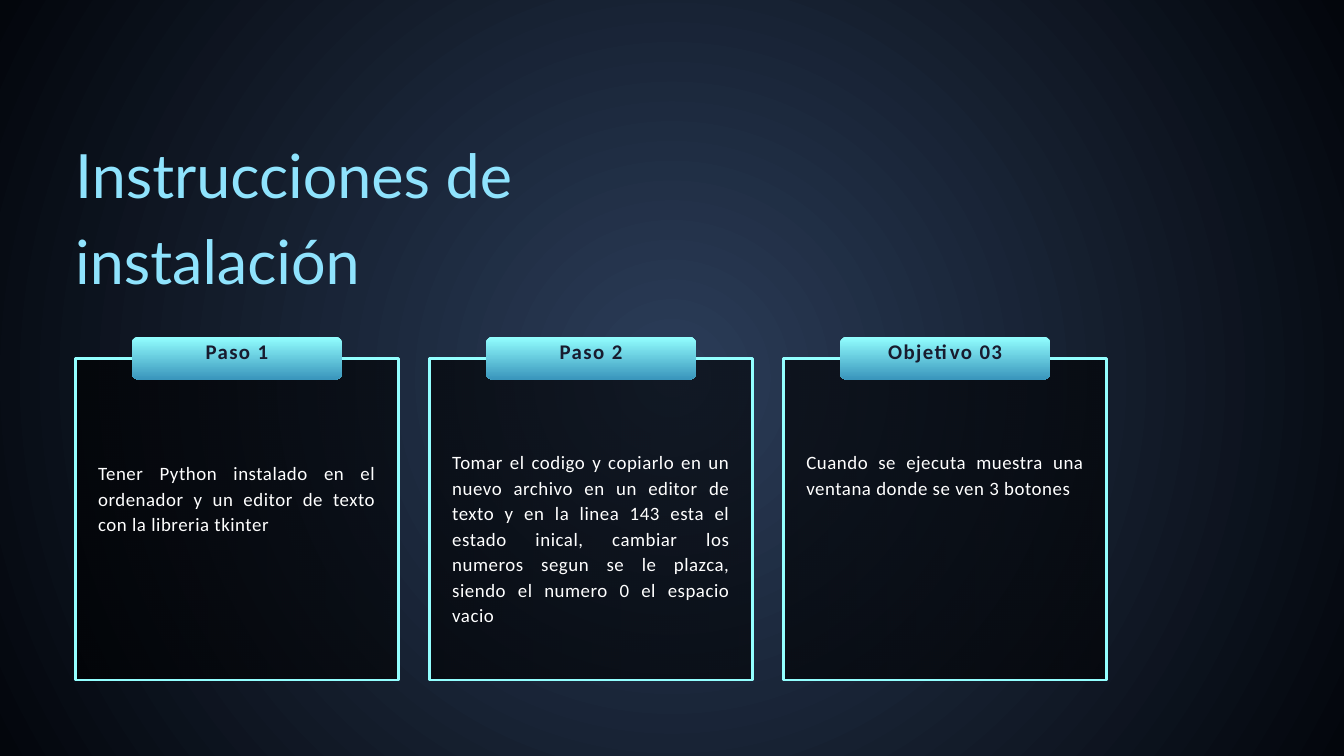
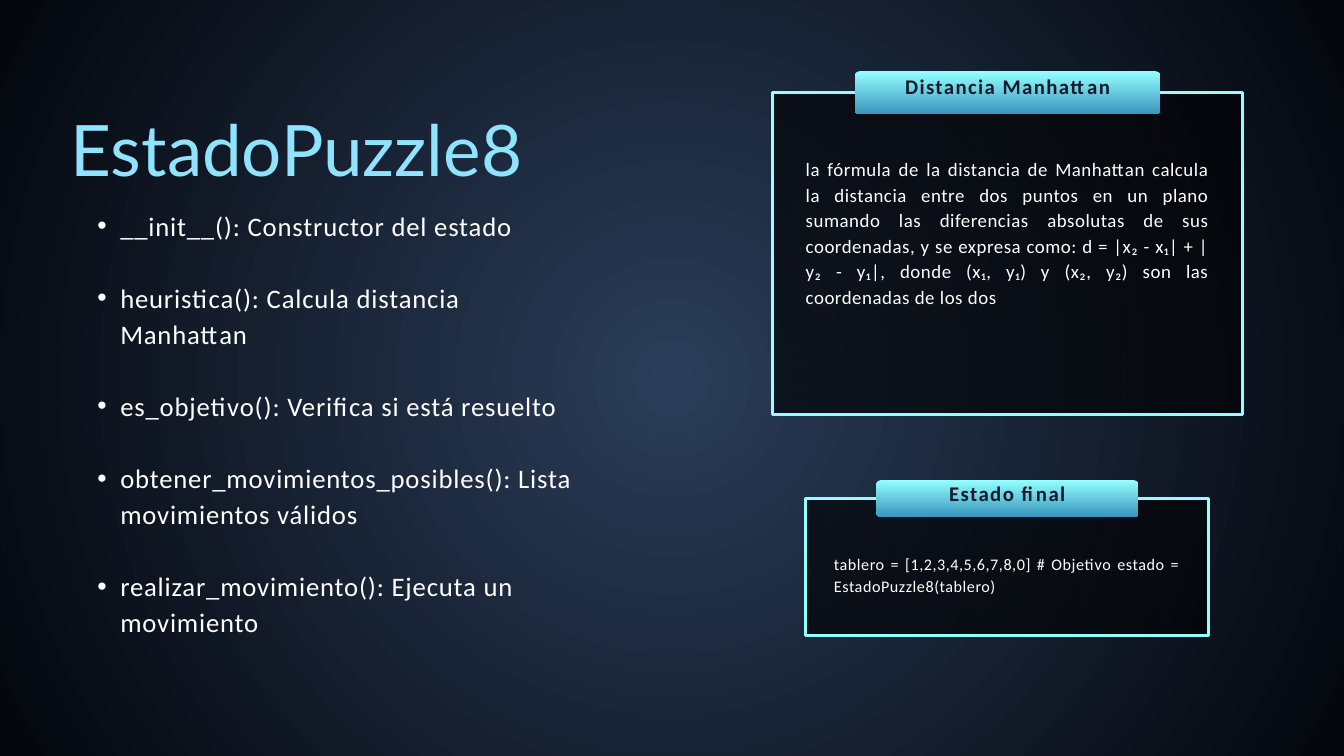
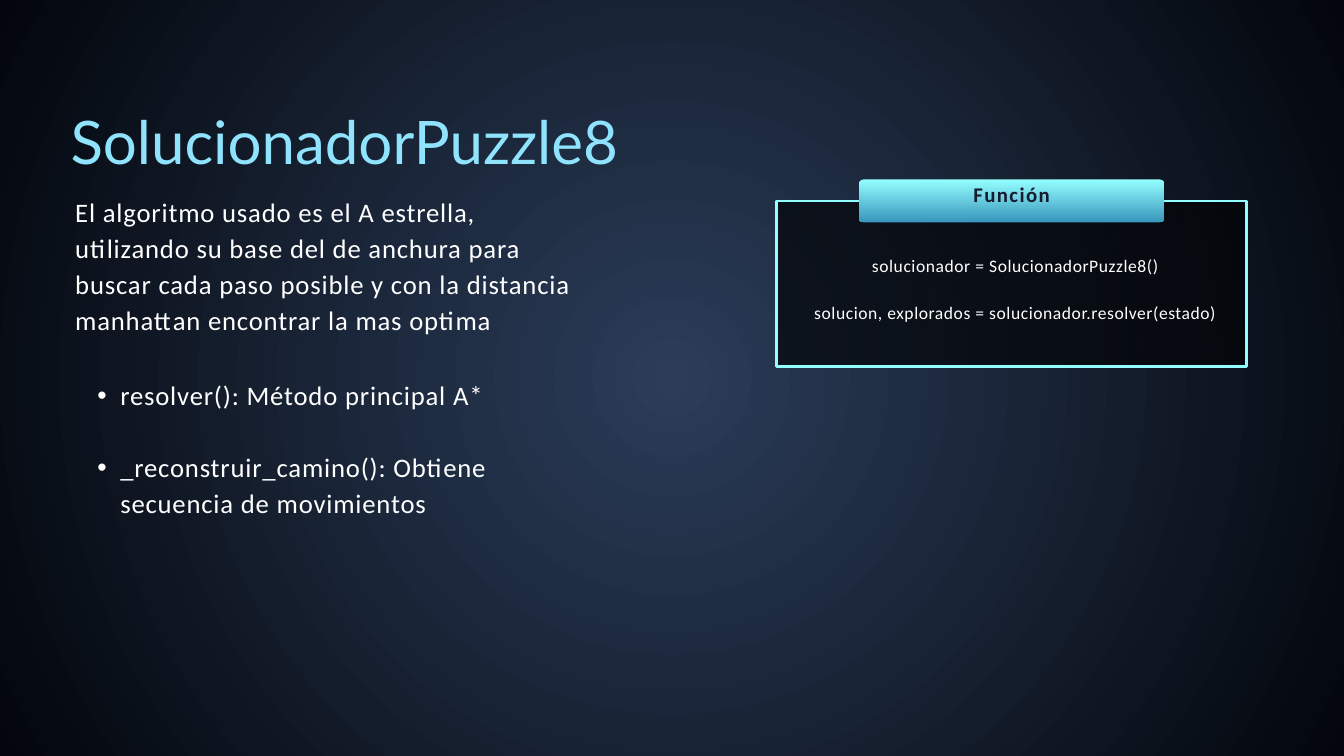
"""Builds three slides that explain how to install and use an 8-puzzle solver."""
from dataclasses import dataclass

from pptx import Presentation
from pptx import util as u
from pptx.dml.color import RGBColor
from pptx.enum import shapes, text
from pptx.oxml import ns
from lxml import etree


@dataclass(frozen=True)
class Theme:
    width: float = 20
    height: float = 11.25
    backdrop: tuple = (("2B3D59", 100), ("03060C", 100))
    panel: tuple = (("000102", 63), ("000000", 59))
    tab: tuple = (("93FFFF", 100), ("3995BC", 100))
    border: str = "93FFFF"
    title: str = "8FE3FD"
    label: str = "181B2E"
    body: str = "FFFFFF"
    title_font: str = "Lato"
    body_font: str = "Calibri"
    label_size: float = 22.3
    list_size: float = 28.6
    card_size: float = 20.2
    tab_share: float = 0.65
    tab_height: float = 0.64
    label_stretch: float = 1.4
    title_leading: float = 1.4
    body_leading: float = 1.35


THEME = Theme()
MARGIN = 1.12
TITLE_LEFT = 1.05
LIST_WIDTH = 7.5
STEP_TOP, STEP_WIDTH, STEP_HEIGHT, STEP_PITCH = 5.33, 4.81, 4.79, 5.27
STEP_INSET = 0.34

STEPS = [
    ("Paso 1", "Tener Python instalado en el ordenador y un editor de texto "
     "con la libreria tkinter", 1.5, 3),
    ("Paso 2", "Tomar el codigo y copiarlo en un nuevo archivo en un editor de texto "
     "y en la linea 143 esta el estado inical, cambiar los numeros segun se le plazca, "
     "siendo el numero 0 el espacio vacio", 1.34, 7),
    ("Objetivo 03", "Cuando se ejecuta muestra una ventana donde se ven 3 botones", 1.34, 3),
]

SLIDES = [
    {
        "title": ("Instrucciones de instalación", MARGIN, 1.87, 10.53, 65.4, 2),
        "texts": [],
        "cards": [
            dict(at=(MARGIN + column * STEP_PITCH, STEP_TOP, STEP_WIDTH, STEP_HEIGHT),
                 label=label, lines=[words], rows=rows, corner=0.1,
                 body=(STEP_INSET, drop, STEP_WIDTH - 2 * STEP_INSET))
            for column, (label, words, drop, rows) in enumerate(STEPS)
        ],
    },
    {
        "title": ("EstadoPuzzle8", TITLE_LEFT, 1.36, 8.95, 76, 1),
        "texts": [(3.06, 14, True, [
            "__init__(): Constructor del estado",
            "heuristica(): Calcula distancia Manhattan",
            "es_objetivo(): Verifica si está resuelto",
            "obtener_movimientos_posibles(): Lista movimientos válidos",
            "realizar_movimiento(): Ejecuta un movimiento",
        ])],
        "cards": [
            dict(at=(11.5, 1.38, 6.99, 4.79), label="Distancia Manhattan",
                 lines=["la fórmula de la distancia de Manhattan calcula la distancia entre "
                        "dos puntos en un plano sumando las diferencias absolutas de sus "
                        "coordenadas, y se expresa como: d = |x₂ - x₁| + |y₂ - y₁|, donde "
                        "(x₁, y₁) y (x₂, y₂) son las coordenadas de los dos"],
                 rows=6, body=(0.49, 0.93, 6)),
            dict(at=(11.99, 7.42, 6, 2.04), label="Estado final",
                 lines=["tablero = [1,2,3,4,5,6,7,8,0] # Objetivo estado = "
                        "EstadoPuzzle8(tablero)"],
                 rows=2, body=(0.42, 0.8, 5.15), size=17.3, tab_height=0.55),
        ],
    },
    {
        "title": ("SolucionadorPuzzle8", TITLE_LEFT, 1.38, 10.94, 64.3, 1),
        "texts": [
            (2.86, 4, False, [
                "El algoritmo usado es el A estrella, utilizando su base del de anchura "
                "para buscar cada paso posible y con la distancia manhattan encontrar "
                "la mas optima"]),
            (5.58, 4, True, [
                "resolver(): Método principal A*",
                "_reconstruir_camino(): Obtiene secuencia de movimientos"]),
        ],
        "cards": [
            dict(at=(11.56, 2.99, 6.99, 2.46), label="Función",
                 lines=["solucionador = SolucionadorPuzzle8()",
                        "solucion, explorados = solucionador.resolver(estado)"],
                 rows=3, body=(0.11, 0.76, 6.88), size=18.8, align="CENTER"),
        ],
    },
]


def inches(*lengths):
    return [u.Inches(length) for length in lengths]


def paint_gradient(fill, owner, stops, angle=0):
    fill.gradient()
    fill.gradient_angle = angle
    for stop, (color, _) in zip(fill.gradient_stops, stops):
        stop.color.rgb = RGBColor.from_string(color)
    gradient = owner.find(".//" + ns.qn("a:gradFill"))
    for tint, (_, opacity) in zip(gradient.iter(ns.qn("a:srgbClr")), stops):
        if opacity < 100:
            etree.SubElement(tint, ns.qn("a:alpha"), val=str(opacity * 1000))
    return gradient


def paint_backdrop(slide):
    gradient = paint_gradient(slide.background.fill, slide.element, THEME.backdrop)
    gradient.remove(gradient.find(ns.qn("a:lin")))
    circle = etree.SubElement(gradient, ns.qn("a:path"))
    circle.set("path", "circle")
    etree.SubElement(circle, ns.qn("a:fillToRect"),
                     {side: "50000" for side in "ltrb"})


def add_bullet(paragraph):
    properties = paragraph._p.get_or_add_pPr()
    properties.set("marL", str(u.Inches(0.67)))
    properties.set("indent", str(u.Inches(-0.34)))
    etree.SubElement(properties, ns.qn("a:buFont"), typeface="Arial")
    etree.SubElement(properties, ns.qn("a:buChar"), char="•")


def add_text(slide, lines, at, *, size, color=THEME.body, font=THEME.body_font,
             leading=THEME.body_leading, spacing=0, align="LEFT", anchor="TOP",
             bold=False, bullets=False):
    frame = slide.shapes.add_textbox(*inches(*at)).text_frame
    frame.word_wrap = True
    frame.vertical_anchor = text.MSO_ANCHOR[anchor]
    frame.margin_left = frame.margin_right = frame.margin_top = frame.margin_bottom = 0
    line_height = u.Pt(round(size * leading, 1))
    for index, line in enumerate(lines):
        paragraph = frame.add_paragraph() if index else frame.paragraphs[0]
        paragraph.alignment = text.PP_ALIGN[align]
        paragraph.line_spacing = line_height
        if index:
            paragraph.space_before = line_height
        if bullets:
            add_bullet(paragraph)
        run = paragraph.add_run()
        run.text = line
        run.font.name, run.font.size, run.font.bold = font, u.Pt(size), bold
        run.font.color.rgb = RGBColor.from_string(color)
        if spacing:
            run._r.get_or_add_rPr().set("spc", str(round(spacing * 100)))


def add_panel(slide, preset, at, stops, angle=0):
    panel = slide.shapes.add_shape(preset, *inches(*at))
    panel.shadow.inherit = False
    paint_gradient(panel.fill, panel._element.spPr, stops, angle)
    panel.line.fill.background()
    return panel


def add_card(slide, at, label, lines, rows, body, size=THEME.card_size,
             tab_height=THEME.tab_height, corner=0.07, align="JUSTIFY"):
    left, top, width, _ = at
    box = add_panel(slide, shapes.MSO_SHAPE.RECTANGLE, at, THEME.panel)
    box.line.color.rgb = RGBColor.from_string(THEME.border)
    box.line.width = u.Pt(3)

    tab_width = width * THEME.tab_share
    tab_left = left + (width - tab_width) / 2
    tab_top = top - tab_height / 2
    tab = add_panel(slide, shapes.MSO_SHAPE.ROUNDED_RECTANGLE,
                    (tab_left, tab_top, tab_width, tab_height), THEME.tab, 270)
    tab.adjustments[0] = corner / tab_height

    label_height = tab_height * THEME.label_stretch
    add_text(slide, [label],
             (tab_left, tab_top + tab_height - label_height, tab_width, label_height),
             size=THEME.label_size, color=THEME.label, leading=1.4, spacing=1.5,
             align="CENTER", anchor="MIDDLE", bold=True)

    inset, drop, body_width = body
    add_text(slide, lines,
             (left + inset, top + drop, body_width, rows * size * THEME.body_leading / 72),
             size=size, spacing=0.6, align=align)


def build_slide(deck, content):
    slide = deck.slides.add_slide(deck.slide_layouts[6])
    paint_backdrop(slide)
    title, left, top, width, size, rows = content["title"]
    add_text(slide, [title], (left, top, width, rows * size * THEME.title_leading / 72),
             size=size, color=THEME.title, font=THEME.title_font,
             leading=THEME.title_leading)
    for top, rows, bullets, lines in content["texts"]:
        height = rows * THEME.list_size * THEME.body_leading / 72
        add_text(slide, lines, (MARGIN, top, LIST_WIDTH, height),
                 size=THEME.list_size, spacing=0.9, bullets=bullets)
    for card in content["cards"]:
        add_card(slide, **card)


def main():
    deck = Presentation()
    deck.slide_width, deck.slide_height = inches(THEME.width, THEME.height)
    for content in SLIDES:
        build_slide(deck, content)
    deck.save("out.pptx")


if __name__ == "__main__":
    main()
